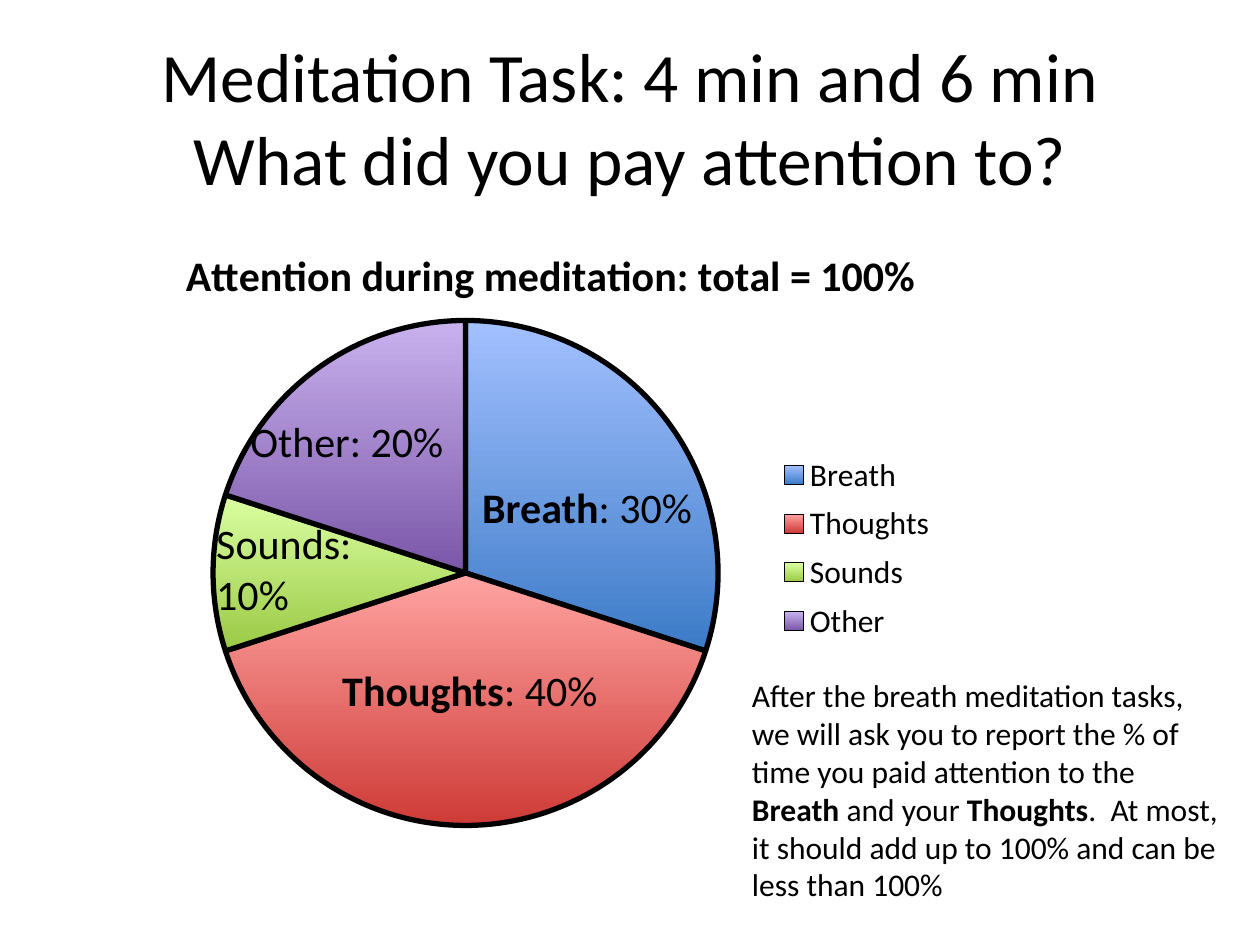
import lxml.etree
import pptx
import pptx.chart.data
import pptx.dml.color
import pptx.enum.chart
import pptx.enum.text
import pptx.oxml.ns
import pptx.util

Cm = pptx.util.Cm
Pt = pptx.util.Pt
RGBColor = pptx.dml.color.RGBColor

BLACK = RGBColor(0x00, 0x00, 0x00)
BLUE_LIGHT, BLUE_DARK = RGBColor(0xA3, 0xC0, 0xFF), RGBColor(0x3C, 0x7B, 0xC7)
RED_LIGHT, RED_DARK = RGBColor(0xFF, 0xA4, 0xA2), RGBColor(0xCE, 0x3B, 0x37)
GREEN_LIGHT, GREEN_DARK = RGBColor(0xDA, 0xFF, 0xA2), RGBColor(0x9B, 0xC9, 0x45)
PURPLE_LIGHT, PURPLE_DARK = RGBColor(0xC9, 0xB1, 0xEE), RGBColor(0x7A, 0x56, 0xA8)
FONT = "Calibri"

SLICES = [
    ("Breath", 30, BLUE_LIGHT, BLUE_DARK),
    ("Thoughts", 40, RED_LIGHT, RED_DARK),
    ("Sounds", 10, GREEN_LIGHT, GREEN_DARK),
    ("Other", 20, PURPLE_LIGHT, PURPLE_DARK),
]
SLICE_LABELS = [
    ([[("Breath", True), (": 30%", False)]], (9.47, 9.58, 4.8, 1.27)),
    ([[("Thoughts", True), (": 40%", False)]], (6.65, 13.28, 5.72, 1.27)),
    ([[("Sounds: ", False)], [("10%", False)]], (4.11, 10.31, 3.28, 2.31)),
    ([[("Other: 20%", False)]], (4.8, 8.26, 5.56, 1.27)),
]
INSTRUCTIONS = [
    [("After the breath meditation tasks,", False)],
    [("we will ask you to report the % of ", False)],
    [("time you paid attention to the ", False)],
    [("Breath ", True), ("and your ", False), ("Thoughts", True), (".  At most, ", False)],
    [("it should add up to 100% and can be ", False)],
    [("less than 100%", False)],
]


def style_font(font, size, bold=False):
    font.name = FONT
    font.size = Pt(size)
    font.bold = bold
    font.color.rgb = BLACK


def add_text(slide, lines, box, size, wrap=False, alignment=None, anchor=None):
    shape = slide.shapes.add_textbox(*(Cm(length) for length in box))
    text_frame = shape.text_frame
    text_frame.word_wrap = wrap
    text_frame.vertical_anchor = anchor
    for index, line in enumerate(lines):
        paragraph = text_frame.add_paragraph() if index else text_frame.paragraphs[0]
        paragraph.alignment = alignment
        for text, bold in line:
            run = paragraph.add_run()
            run.text = text
            style_font(run.font, size, bold)


def place_chart_part(parent, index, x, y, width, height, inner=False):
    qn = pptx.oxml.ns.qn
    for previous in parent.findall(qn("c:layout")):
        parent.remove(previous)
    layout = lxml.etree.Element(qn("c:layout"))
    manual = lxml.etree.SubElement(layout, qn("c:manualLayout"))
    settings = [("xMode", "edge"), ("yMode", "edge"),
                ("x", x), ("y", y), ("w", width), ("h", height)]
    if inner:
        settings.insert(0, ("layoutTarget", "inner"))
    for name, value in settings:
        lxml.etree.SubElement(manual, qn("c:" + name)).set("val", str(value))
    parent.insert(index, layout)


def format_slice(point, light, dark):
    fill = point.format.fill
    fill.gradient()
    fill.gradient_angle = 270
    for stop, color in zip(fill.gradient_stops, (light, dark)):
        stop.color.rgb = color
    point.format.line.color.rgb = BLACK
    point.format.line.width = Pt(3)


def add_attention_pie(slide):
    data = pptx.chart.data.CategoryChartData()
    data.categories = [name for name, *_ in SLICES]
    data.add_series("Series 1", [value for _, value, *_ in SLICES])
    chart = slide.shapes.add_chart(
        pptx.enum.chart.XL_CHART_TYPE.PIE,
        Cm(-0.33), Cm(4.45), Cm(22.86), Cm(12.57), data).chart
    style_font(chart.font, 18)

    chart.has_title = True
    title = chart.chart_title.text_frame
    title.text = "Attention during meditation: total = 100%"
    style_font(title.paragraphs[0].runs[0].font, 24, True)

    chart.has_legend = True
    chart.legend.position = pptx.enum.chart.XL_LEGEND_POSITION.RIGHT
    chart.legend.include_in_layout = False
    style_font(chart.legend.font, 18)

    plot = chart.plots[0]
    plot.vary_by_categories = True
    for index, (_, _, light, dark) in enumerate(SLICES):
        format_slice(plot.series[0].points[index], light, dark)

    plot_area = chart.element.find(".//" + pptx.oxml.ns.qn("c:plotArea"))
    place_chart_part(plot_area, 0, 0.2, 0.16, 0.45, 0.81, inner=True)
    place_chart_part(chart.legend.element if hasattr(chart.legend, "element")
                     else chart.element.find(".//" + pptx.oxml.ns.qn("c:legend")),
                     1, 0.69, 0.36, 0.16, 0.33)


def main():
    presentation = pptx.Presentation()
    presentation.slide_width = Cm(25.4)
    presentation.slide_height = Cm(19.05)
    slide = presentation.slides.add_slide(presentation.slide_layouts[6])

    title = [[("Meditation Task: 4 min and 6 min", False)],
             [("What did you pay attention to?", False)]]
    add_text(slide, title, (1.27, 0.76, 22.86, 3.18), 39.6, True,
             pptx.enum.text.PP_ALIGN.CENTER, pptx.enum.text.MSO_ANCHOR.MIDDLE)
    add_attention_pie(slide)
    for lines, box in SLICE_LABELS:
        add_text(slide, lines, box, 24)
    add_text(slide, INSTRUCTIONS, (14.91, 13.51, 10.03, 4.88), 18)

    presentation.save("out.pptx")


main()
